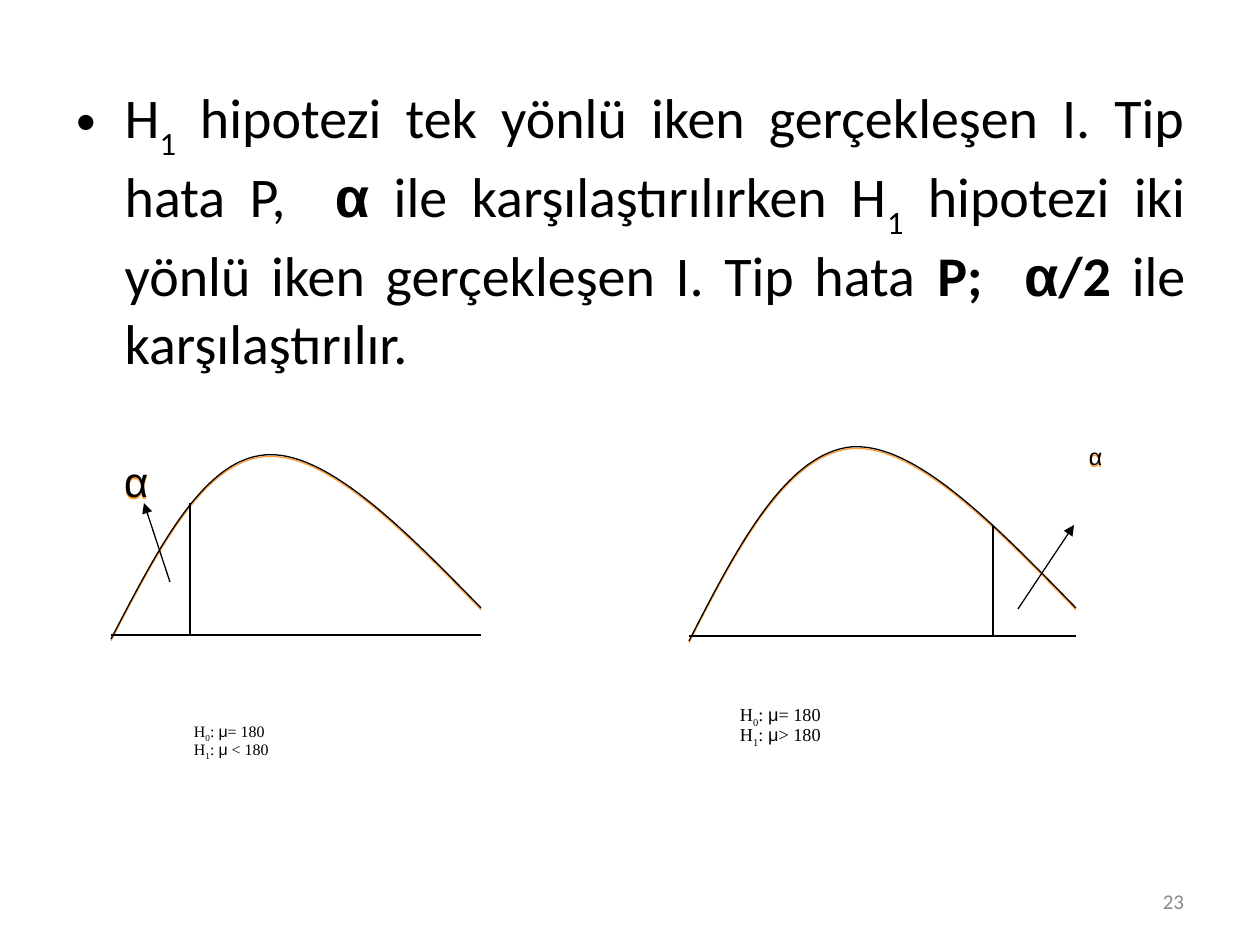
from dataclasses import dataclass
from typing import NamedTuple

from lxml.etree import SubElement
from pptx import Presentation
from pptx.dml.color import RGBColor
from pptx.enum.shapes import MSO_CONNECTOR as Connector
from pptx.enum.text import MSO_ANCHOR as Anchor, MSO_AUTO_SIZE as AutoSize, PP_ALIGN as Align
from pptx.oxml.ns import qn
from pptx.util import Pt

SCALE = 914400 / 126
BLACK = RGBColor(0x00, 0x00, 0x00)
GRAY = RGBColor(0x89, 0x89, 0x89)
ORANGE = RGBColor(0xFF, 0x99, 0x33)
BODY_FONT = "Calibri"
SYMBOL_FONT = "Arial"
FORMULA_FONT = "Times New Roman"

Point = tuple[int, int]


class Box(NamedTuple):
    left: int
    top: int
    width: int
    height: int


class Piece(NamedTuple):
    text: str
    font: str
    bold: bool = False
    baseline: int = 0


@dataclass
class Distribution:
    curve: list[Point]
    base_y: int
    cut: Point
    arrow: tuple[Point, Point]
    alpha_box: Box
    alpha_size: float
    alpha_spacing: float
    formula_box: Box
    formula_size: float
    alternative: str


BODY_PIECES = [
    Piece("H", BODY_FONT),
    Piece("1", BODY_FONT, baseline=-30),
    Piece(" hipotezi tek yönlü iken gerçekleşen I. Tip hata P,  ", BODY_FONT),
    Piece("α", SYMBOL_FONT, bold=True),
    Piece(" ile karşılaştırılırken H", BODY_FONT),
    Piece("1", BODY_FONT, baseline=-30),
    Piece(" hipotezi iki yönlü iken gerçekleşen I. Tip hata ", BODY_FONT),
    Piece("P;  ", BODY_FONT, bold=True),
    Piece("α", SYMBOL_FONT, bold=True),
    Piece("/2 ", BODY_FONT, bold=True),
    Piece("ile karşılaştırılır.", BODY_FONT),
]

DISTRIBUTIONS = [
    Distribution(
        curve=[(111, 639), (158, 549), (203, 460), (265, 455), (326, 450), (404, 529), (481, 608)],
        base_y=635, cut=(190, 503), arrow=((170, 582), (144, 503)),
        alpha_box=Box(111, 450, 106, 73), alpha_size=24, alpha_spacing=1.0,
        formula_box=Box(184, 719, 318, 60), formula_size=9.1, alternative=" < 180",
    ),
    Distribution(
        curve=[(689, 641), (737, 547), (786, 454), (851, 447), (915, 442), (995, 525), (1076, 608)],
        base_y=636, cut=(993, 525), arrow=((1018, 609), (1074, 525)),
        alpha_box=Box(1076, 442, 63, 44), alpha_size=13.3, alpha_spacing=0.8,
        formula_box=Box(730, 701, 318, 63), formula_size=10.4, alternative="> 180",
    ),
]


def px(length: float) -> int:
    return round(length * SCALE)


def add_pieces(paragraph, pieces: list[Piece], size: float, color: RGBColor = BLACK) -> None:
    for piece in pieces:
        run = paragraph.add_run()
        run.text = piece.text
        run.font.name = piece.font
        run.font.size = Pt(size)
        run.font.bold = piece.bold
        run.font.color.rgb = color
        if piece.baseline:
            run.font._element.set("baseline", str(piece.baseline * 1000))


def add_text(shapes, box: Box, inset: Point, lines: list[list[Piece]], size: float,
             spacing: float = 1.0, color: RGBColor = BLACK, align=Align.LEFT, anchor=Anchor.TOP):
    shape = shapes.add_textbox(*map(px, box))
    frame = shape.text_frame
    frame.word_wrap = True
    frame.vertical_anchor = anchor
    frame.margin_left = frame.margin_right = px(inset[0])
    frame.margin_top = frame.margin_bottom = px(inset[1])
    for index, pieces in enumerate(lines):
        paragraph = frame.add_paragraph() if index else frame.paragraphs[0]
        paragraph.alignment = align
        paragraph.line_spacing = spacing
        add_pieces(paragraph, pieces, size, color)
    return shape


def add_orange_shadow(shape) -> None:
    shape.shadow.inherit = False
    effects = shape._element.spPr.find(qn("a:effectLst"))
    shadow = SubElement(effects, qn("a:outerShdw"), blurRad="0", dist=str(Pt(1)),
                        dir="5400000", algn="ctr", rotWithShape="0")
    SubElement(shadow, qn("a:srgbClr"), val=str(ORANGE))


def add_curve(shapes, points: list[Point]) -> None:
    builder = shapes.build_freeform(*points[0], scale=SCALE)
    builder.add_line_segments(points[1:], close=False)
    shape = builder.convert_to_shape()
    shape.fill.background()
    shape.line.color.rgb = BLACK
    shape.line.width = Pt(0.75)
    add_orange_shadow(shape)
    outline = next(shape._element.iter(qn("a:path")))
    segments = outline.findall(qn("a:lnTo"))
    for start in range(0, len(segments), 3):
        bezier = SubElement(outline, qn("a:cubicBezTo"))
        for segment in segments[start:start + 3]:
            bezier.append(segment[0])
            outline.remove(segment)


def add_line(shapes, start: Point, end: Point, arrowhead: bool = False) -> None:
    connector = shapes.add_connector(Connector.STRAIGHT, *map(px, start + end))
    connector.line.color.rgb = BLACK
    connector.line.width = Pt(0.75)
    properties = connector._element.spPr
    if arrowhead:
        SubElement(properties.find(qn("a:ln")), qn("a:tailEnd"), type="triangle")
    SubElement(properties, qn("a:effectLst"))


def hypothesis(index: str, condition: str) -> list[Piece]:
    return [
        Piece("H", FORMULA_FONT),
        Piece(index, FORMULA_FONT, baseline=-25),
        Piece(": ", FORMULA_FONT),
        Piece("μ", SYMBOL_FONT),
        Piece(condition, FORMULA_FONT),
    ]


def add_distribution(slide, item: Distribution) -> None:
    group = slide.shapes.add_group_shape()
    add_curve(group.shapes, item.curve)
    add_line(group.shapes, (item.curve[0][0], item.base_y), (item.curve[-1][0], item.base_y))
    add_line(group.shapes, item.cut, (item.cut[0], item.base_y))
    add_line(group.shapes, *item.arrow, arrowhead=True)
    alpha = add_text(slide.shapes, item.alpha_box, (13, 6), [[Piece("α", SYMBOL_FONT)]],
                     item.alpha_size, item.alpha_spacing)
    add_orange_shadow(alpha)
    formulas = [hypothesis("0", "= 180"), hypothesis("1", item.alternative)]
    add_text(slide.shapes, item.formula_box, (10, 5), formulas, item.formula_size, 0.8)


def fill_body(shape) -> None:
    shape.left, shape.top, shape.width, shape.height = map(px, Box(64, 76, 1134, 624))
    shape.text_frame.auto_size = AutoSize.NONE
    paragraph = shape.text_frame.paragraphs[0]
    paragraph.alignment = Align.JUSTIFY
    paragraph.space_before = Pt(8)
    properties = paragraph._element.get_or_add_pPr()
    properties.set("marL", str(px(48)))
    properties.set("indent", str(px(-48)))
    SubElement(properties, qn("a:buFont"), typeface=SYMBOL_FONT)
    SubElement(properties, qn("a:buChar"), char="•")
    add_pieces(paragraph, BODY_PIECES, 32)


def main() -> None:
    presentation = Presentation()
    presentation.slide_width, presentation.slide_height = px(1260), px(945)
    slide = presentation.slides.add_slide(presentation.slide_layouts[1])
    title = slide.shapes.title._element
    title.getparent().remove(title)
    fill_body(slide.placeholders[1])
    for item in DISTRIBUTIONS:
        add_distribution(slide, item)
    add_text(slide.shapes, Box(903, 876, 294, 50), (13, 6), [[Piece("23", BODY_FONT)]], 12,
             color=GRAY, align=Align.RIGHT, anchor=Anchor.MIDDLE)
    presentation.save("out.pptx")


if __name__ == "__main__":
    main()
